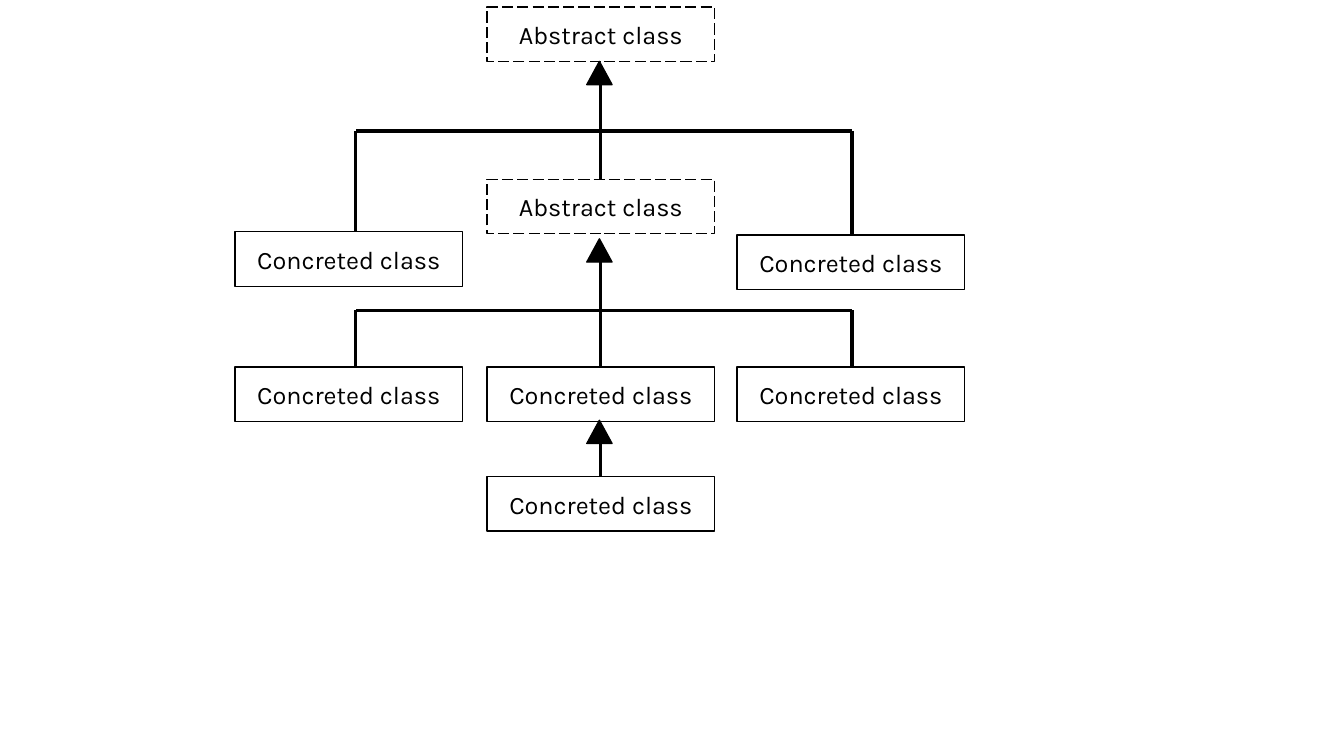
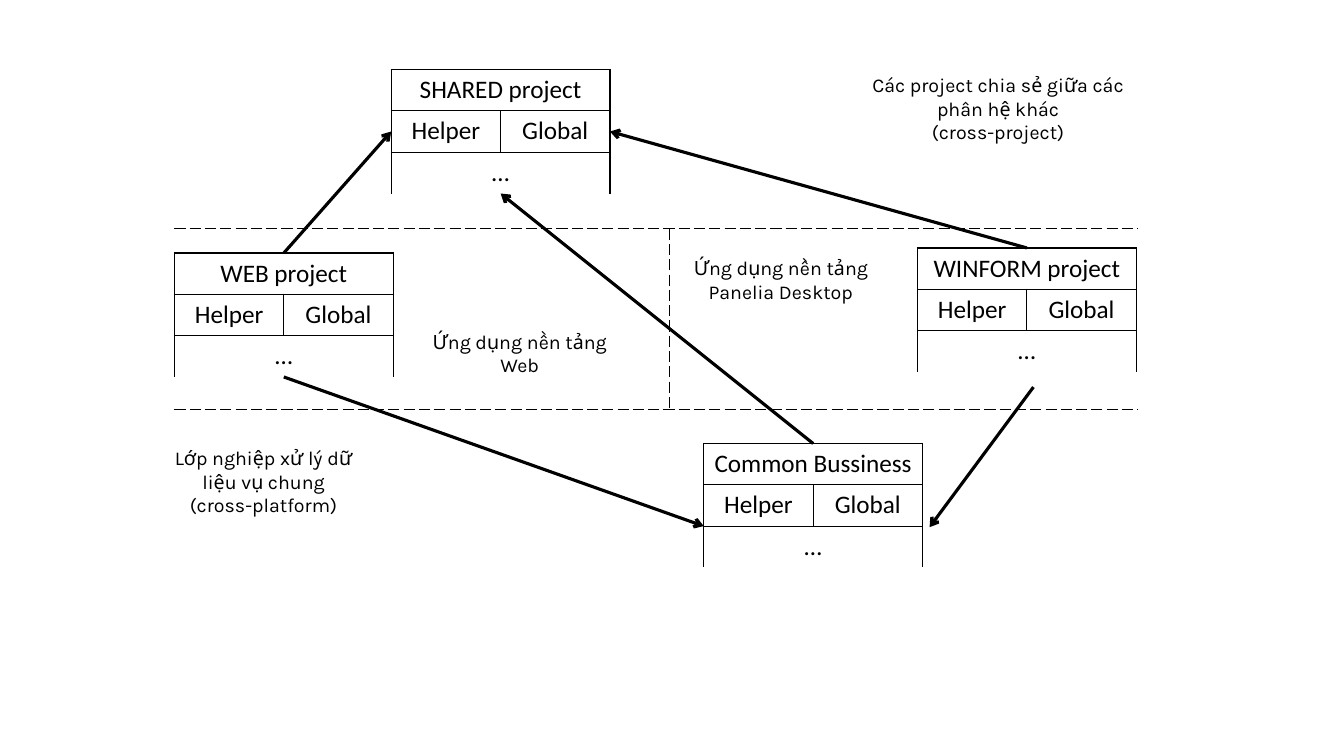
from dataclasses import dataclass
from typing import NamedTuple

from lxml import etree
from pptx import Presentation
from pptx import util as u
from pptx.dml.color import RGBColor
from pptx.enum import dml, shapes, text
from pptx.oxml import ns
from pptx.slide import Slide

BLACK = RGBColor(0, 0, 0)
DIAGRAM_FONT = "Karla"
TABLE_FONT = "Calibri"
THIN, THICK = 1, 2.25

CLASS_W, CLASS_H = 2.26, 0.54
LEFT, MIDDLE, RIGHT = 2.33, 4.83, 7.31
TRUNK_X, LEFT_X, RIGHT_X = 5.96, 3.53, 8.45
HEAD_W, HEAD_H = 0.25, 0.23

MODULE_W, ROW_H = 2.17, 0.41
BORDERS = ("a:lnL", "a:lnR", "a:lnT", "a:lnB")
DIVIDE_LEFT, DIVIDE_RIGHT, DIVIDE_X = 1.73, 11.29, 6.64
DIVIDE_TOP, DIVIDE_BOTTOM = 2.27, 4.06


class Point(NamedTuple):
    x: float
    y: float


@dataclass(frozen=True)
class ClassBox:
    x: float
    y: float
    abstract: bool = False


@dataclass(frozen=True)
class Inheritance:
    parent_y: float
    bar_y: float
    middle_y: float
    left_y: float | None = None
    right_y: float | None = None


@dataclass(frozen=True)
class Module:
    name: str
    x: float
    y: float

    def at(self, across: float, rows: float) -> Point:
        return Point(self.x + across * MODULE_W, self.y + rows * ROW_H)


@dataclass(frozen=True)
class Note:
    x: float
    y: float
    width: float
    paragraphs: tuple[str, ...]


def style_text(frame, size: int, font: str) -> None:
    for paragraph in frame.paragraphs:
        paragraph.alignment = text.PP_ALIGN.CENTER
        paragraph.font.size = u.Pt(size)
        paragraph.font.name = font
        paragraph.font.color.rgb = BLACK


def style_line(line, width: float, dashed: bool = False) -> None:
    line.color.rgb = BLACK
    line.width = u.Pt(width)
    if dashed:
        line.dash_style = dml.MSO_LINE.LONG_DASH


def draw_line(slide: Slide, start: Point, end: Point, width: float = THICK,
              dashed: bool = False, arrow: bool = False) -> None:
    connector = slide.shapes.add_connector(
        shapes.MSO_CONNECTOR.STRAIGHT, *map(u.Inches, (*start, *end)))
    style_line(connector.line, width, dashed)
    properties = connector._element.spPr
    if arrow:
        etree.SubElement(properties.find(ns.qn("a:ln")), ns.qn("a:tailEnd"), type="arrow")
    etree.SubElement(properties, ns.qn("a:effectLst"))


def draw_class(slide: Slide, box: ClassBox) -> None:
    outline = slide.shapes.add_shape(
        shapes.MSO_SHAPE.RECTANGLE, *map(u.Inches, (box.x, box.y, CLASS_W, CLASS_H)))
    outline.shadow.inherit = False
    outline.fill.background()
    style_line(outline.line, THIN, box.abstract)
    frame = outline.text_frame
    frame.word_wrap = True
    frame.vertical_anchor = text.MSO_ANCHOR.MIDDLE
    frame.text = "Abstract class" if box.abstract else "Concreted class"
    style_text(frame, 18, DIAGRAM_FONT)


def draw_inheritance(slide: Slide, link: Inheritance) -> None:
    neck_y = link.parent_y + HEAD_H
    draw_line(slide, Point(TRUNK_X, link.middle_y), Point(TRUNK_X, neck_y))
    for x, child_y in ((LEFT_X, link.left_y), (RIGHT_X, link.right_y)):
        if child_y is not None:
            draw_line(slide, Point(TRUNK_X, link.bar_y), Point(x, link.bar_y))
            draw_line(slide, Point(x, link.bar_y), Point(x, child_y))
    head = slide.shapes.add_shape(
        shapes.MSO_SHAPE.ISOSCELES_TRIANGLE,
        *map(u.Inches, (TRUNK_X - 0.14, link.parent_y, HEAD_W, HEAD_H)))
    head.shadow.inherit = False
    head.fill.solid()
    head.fill.fore_color.rgb = BLACK
    style_line(head.line, THIN)


def style_cell(cell, open_bottom: bool) -> None:
    properties = cell._tc.get_or_add_tcPr()
    for side in BORDERS:
        border = etree.SubElement(properties, ns.qn(side), w=str(u.Pt(THIN)))
        if open_bottom and side == "a:lnB":
            etree.SubElement(border, ns.qn("a:noFill"))
        else:
            fill = etree.SubElement(border, ns.qn("a:solidFill"))
            etree.SubElement(fill, ns.qn("a:srgbClr"), val=str(BLACK))
    cell.fill.background()
    style_text(cell.text_frame, 18, TABLE_FONT)


def draw_module(slide: Slide, module: Module) -> None:
    rows = ((module.name,), ("Helper", "Global"), ("…",))
    table = slide.shapes.add_table(
        len(rows), 2, *map(u.Inches, (module.x, module.y, MODULE_W, len(rows) * ROW_H))).table
    table.first_row = table.horz_banding = False
    for index, labels in enumerate(rows):
        table.rows[index].height = u.Inches(ROW_H)
        if len(labels) == 1:
            table.cell(index, 0).merge(table.cell(index, 1))
        for column, label in enumerate(labels):
            table.cell(index, column).text = label
        for column in range(2):
            style_cell(table.cell(index, column), index == len(rows) - 1)


def draw_note(slide: Slide, note: Note) -> None:
    frame = slide.shapes.add_textbox(
        *map(u.Inches, (note.x, note.y, note.width, 0.75))).text_frame
    frame.word_wrap = True
    frame.vertical_anchor = text.MSO_ANCHOR.MIDDLE
    frame.text = "\n".join(note.paragraphs)
    style_text(frame, 14, DIAGRAM_FONT)


def build_class_hierarchy(slide: Slide) -> None:
    for box in (
        ClassBox(MIDDLE, 0.07, abstract=True),
        ClassBox(MIDDLE, 1.78, abstract=True),
        ClassBox(LEFT, 2.3),
        ClassBox(RIGHT, 2.33),
        *(ClassBox(x, 3.64) for x in (LEFT, MIDDLE, RIGHT)),
        ClassBox(MIDDLE, 4.73),
    ):
        draw_class(slide, box)
    for link in (
        Inheritance(0.61, 1.3, 1.78, 2.3, 2.33),
        Inheritance(2.37, 3.08, 3.64, 3.64, 3.64),
        Inheritance(4.17, 4.4, 4.73),
    ):
        draw_inheritance(slide, link)


def build_project_layers(slide: Slide) -> None:
    shared = Module("SHARED project", 3.88, 0.69)
    business = Module("Common Bussiness", 6.98, 4.4)
    web = Module("WEB project", 1.73, 2.51)
    winform = Module("WINFORM project", 9.1, 2.46)
    for module in (shared, business, web, winform):
        draw_module(slide, module)
    for start, end in (
        (business.at(0.5, 0), shared.at(0.5, 3)),
        (web.at(0.5, 0), shared.at(0, 1.5)),
        (winform.at(0.5, 0), shared.at(1, 1.5)),
        (Point(10.25, 3.84), Point(9.22, 5.23)),
        (web.at(0.5, 3), business.at(0, 2)),
    ):
        draw_line(slide, start, end, arrow=True)
    for start, end in (
        (Point(DIVIDE_LEFT, DIVIDE_TOP), Point(DIVIDE_RIGHT, DIVIDE_TOP)),
        (Point(DIVIDE_LEFT, DIVIDE_BOTTOM), Point(DIVIDE_RIGHT, DIVIDE_BOTTOM)),
        (Point(DIVIDE_X, DIVIDE_TOP), Point(DIVIDE_X, DIVIDE_BOTTOM)),
    ):
        draw_line(slide, start, end, THIN, dashed=True)
    for note in (
        Note(8.51, 0.7, 2.78, ("Các project chia sẻ giữa các phân hệ khác", "(cross-project)")),
        Note(1.58, 4.4, 2.07, ("Lớp nghiệp xử lý dữ liệu vụ chung", "(cross-platform)")),
        Note(6.71, 2.4, 2.07, ("Ứng dụng nền tảng Panelia Desktop",)),
        Note(4.12, 3.13, 2.07, ("Ứng dụng nền tảng Web",)),
    ):
        draw_note(slide, note)


def main() -> None:
    deck = Presentation()
    deck.slide_width, deck.slide_height = u.Inches(13.33), u.Inches(7.5)
    blank = deck.slide_layouts.get_by_name("Blank")
    for build in (build_class_hierarchy, build_project_layers):
        build(deck.slides.add_slide(blank))
    deck.save("out.pptx")


main()
